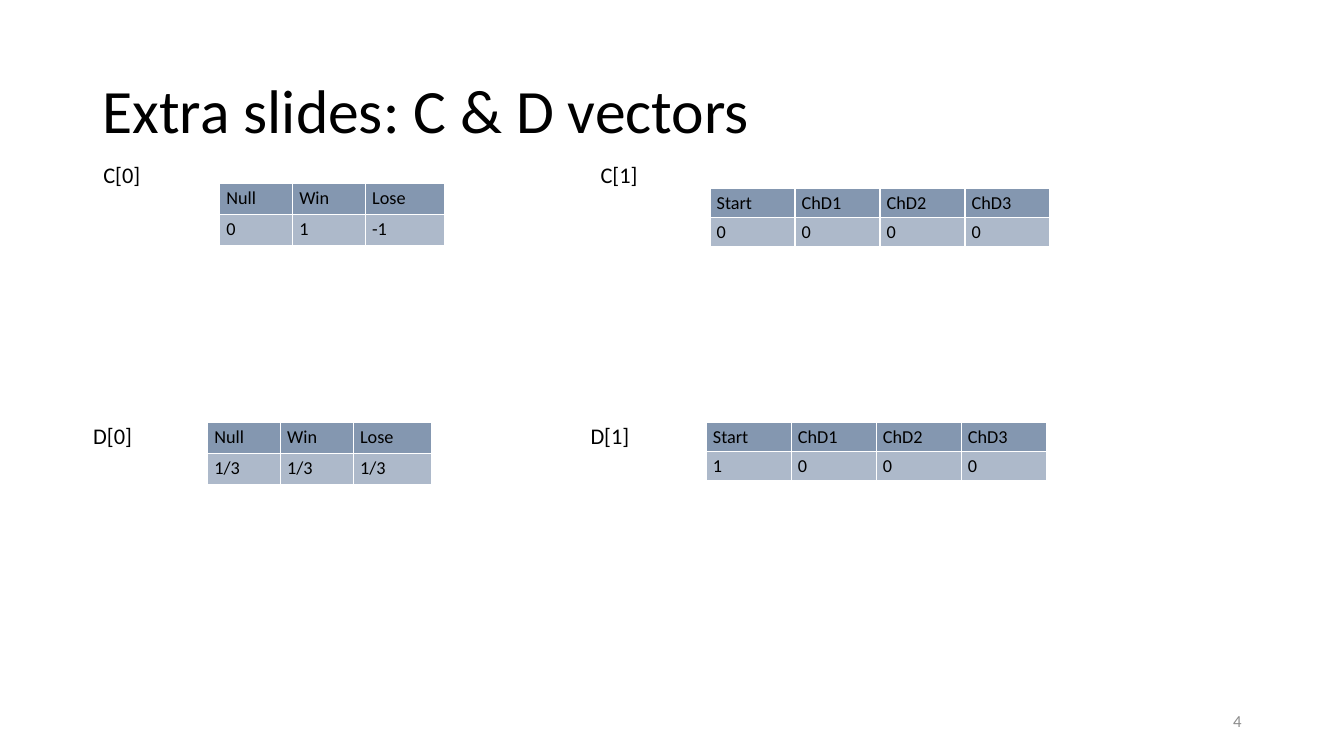
from lxml.etree import SubElement
from pptx import Presentation
from pptx.dml.color import RGBColor
from pptx.enum.text import MSO_ANCHOR as Anchor, PP_ALIGN as Align
from pptx.oxml.ns import qn
from pptx.util import Inches, Pt

COLORS = {"text": "000000", "muted": "8C8C8C", "header": "8497B0",
          "body": "ADB9CA", "border": "FFFFFF"}
COLUMNS, ROWS = 40, 30


def rgb(name):
    return RGBColor.from_string(COLORS[name])


class VectorSlide:
    """One slide on a grid of 40 columns by 30 rows, with its style."""
    font = "Calibri"

    def __init__(self, deck):
        self.column = deck.slide_width / COLUMNS
        self.row = deck.slide_height / ROWS
        self.slide = deck.slides.add_slide(deck.slide_layouts[5])
        self.shapes = self.slide.shapes

    def x(self, columns):
        return round(columns * self.column)

    def y(self, rows):
        return round(rows * self.row)

    def box(self, left, top, width, height):
        return self.x(left), self.y(top), self.x(width), self.y(height)

    def set_text(self, frame, text, size, color="text", align=Align.LEFT, spacing=1.0):
        frame.text = text
        frame.word_wrap = True
        paragraph = frame.paragraphs[0]
        paragraph.alignment = align
        paragraph.line_spacing = spacing
        paragraph.font.name = self.font
        paragraph.font.size = Pt(size)
        paragraph.font.color.rgb = rgb(color)

    def title(self, text, *place):
        heading = self.shapes.title
        heading.left, heading.top, heading.width, heading.height = self.box(*place)
        heading.text_frame.vertical_anchor = Anchor.MIDDLE
        self.set_text(heading.text_frame, text, 44, spacing=0.9)

    def text(self, text, *place, anchor=Anchor.TOP, **style):
        frame = self.shapes.add_textbox(*self.box(*place)).text_frame
        frame.vertical_anchor = anchor
        self.set_text(frame, text, **style)

    def border(self, cell):
        properties = cell._tc.get_or_add_tcPr()
        for position, side in enumerate(("lnL", "lnR", "lnT", "lnB")):
            line = SubElement(properties, qn(f"a:{side}"), w=str(Pt(1)))
            fill = SubElement(line, qn("a:solidFill"))
            SubElement(fill, qn("a:srgbClr"), val=COLORS["border"])
            properties.insert(position, line)

    def table(self, left, top, widths, height, states, values):
        place = self.box(left, top, sum(widths), 2 * height)
        grid = self.shapes.add_table(2, len(states), *place).table
        for column, width in zip(grid.columns, widths):
            column.width = self.x(width)
        for r, (fill, words) in enumerate((("header", states), ("body", values))):
            grid.rows[r].height = self.y(height)
            for c, word in enumerate(words):
                cell = grid.cell(r, c)
                cell.margin_left = cell.margin_right = self.x(0.2)
                cell.margin_top = cell.margin_bottom = self.y(0.14)
                cell.fill.solid()
                cell.fill.fore_color.rgb = rgb(fill)
                self.border(cell)
                self.set_text(cell.text_frame, word, 13)


def main():
    deck = Presentation()
    deck.slide_width, deck.slide_height = Inches(13.33), Inches(7.5)
    page = VectorSlide(deck)

    # Title and slide number
    page.title("Extra slides: C & D vectors", 2.75, 1.6, 34.5, 5.8)
    page.text("4", 28.25, 27.8, 9, 1.6, anchor=Anchor.MIDDLE,
              size=12, color="muted", align=Align.RIGHT)

    # Each factor: states, column widths and row height
    outcome = (("Null", "Win", "Lose"), (2.17, 2.17, 2.34), 1.24)
    choice = (("Start", "ChD1", "ChD2", "ChD3"), (2.53,) * 4, 1.14)

    # Each vector: label, label place, table place, factor and values
    vectors = (
        ("C[0]", (2.78, 6), (6.54, 7.28), outcome, ("0", "1", "-1")),
        ("C[1]", (17.58, 6), (21.13, 7.48), choice, ("0", "0", "0", "0")),
        ("D[0]", (2.48, 16.36), (6.18, 16.76), outcome, ("1/3", "1/3", "1/3")),
        ("D[1]", (17.28, 16.36), (21.02, 16.76), choice, ("1", "0", "0", "0")),
    )
    for label, label_place, table_place, factor, values in vectors:
        states, widths, height = factor
        page.table(*table_place, widths, height, states, values)
        page.text(label, *label_place, 1.8, 1.6, size=16, spacing=1.2)

    deck.save("out.pptx")


if __name__ == "__main__":
    main()
